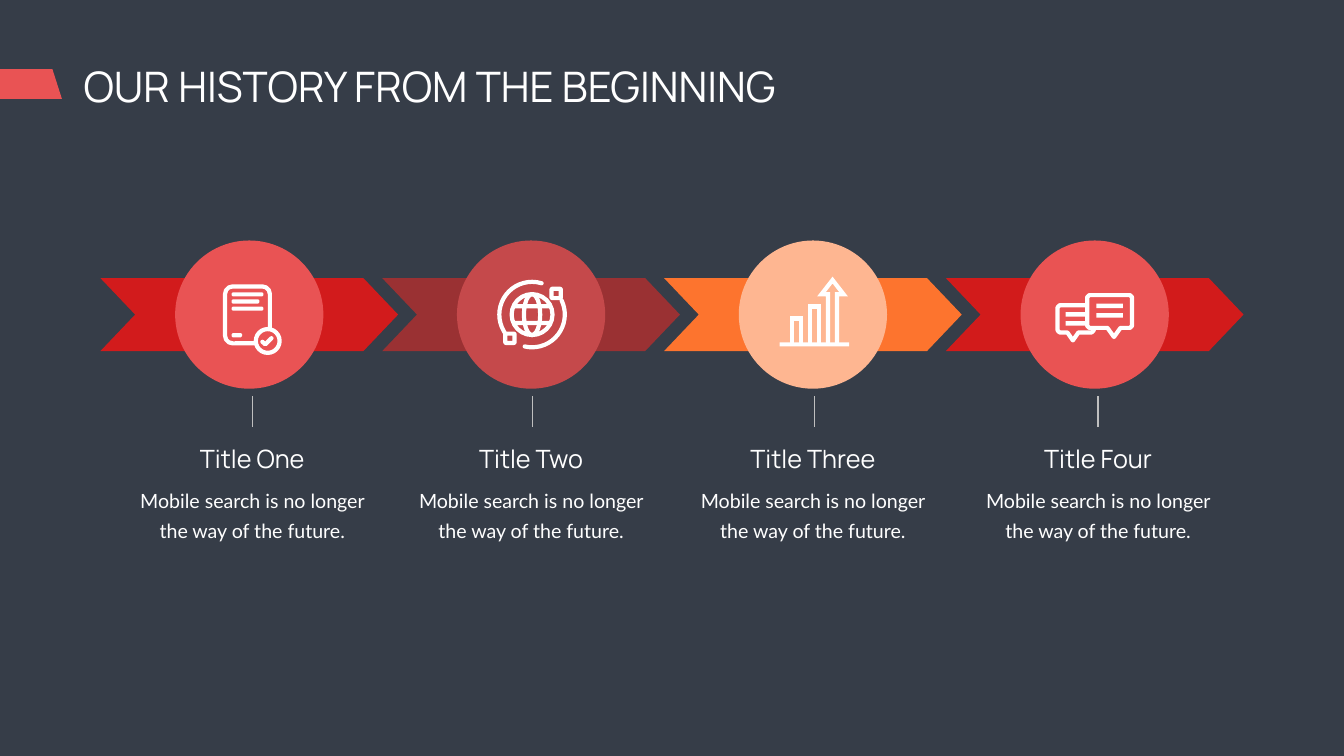
from dataclasses import dataclass

from lxml import etree
from pptx import Presentation
from pptx.dml.color import RGBColor
from pptx.enum.shapes import MSO_CONNECTOR, MSO_SHAPE
from pptx.enum.text import PP_ALIGN
from pptx.oxml.ns import qn
from pptx.util import Cm, Pt

ARC, OVAL = MSO_SHAPE.ARC, MSO_SHAPE.OVAL
ROUND, CHEVRON = MSO_SHAPE.ROUNDED_RECTANGLE, MSO_SHAPE.CHEVRON
STRAIGHT = MSO_CONNECTOR.STRAIGHT
LEFT, CENTER = PP_ALIGN.LEFT, PP_ALIGN.CENTER


@dataclass(frozen=True)
class Theme:
    """Colours, fonts and point sizes of the slide."""
    back: str = "363D48"
    white: str = "FFFFFF"
    tick: str = "BFBFBF"
    accent: str = "E95354"
    head: str = "Manrope"
    body: str = "Lato"
    title: int = 60
    label: int = 36
    text: int = 28
    lead: int = 43
    stroke: int = 6
    thin: int = 2


THEME = Theme()


def rgb(code):
    """Turn a hex code into a colour."""
    return RGBColor.from_string(code)


def paint(shape, fill=None, line=None, join="round"):
    """Set the fill, outline and join of a shape and drop its shadow."""
    shape.shadow.inherit = False
    if fill:
        shape.fill.solid()
        shape.fill.fore_color.rgb = rgb(fill)
    else:
        shape.fill.background()
    if line:
        ink(shape, line, THEME.stroke, join)
    else:
        shape.line.fill.background()
    return shape


def ink(shape, color, width, join):
    """Set colour, width, caps and joins of a line."""
    shape.line.color.rgb = rgb(color)
    shape.line.width = Pt(width)
    ln = shape._element.spPr.find(qn("a:ln"))
    ln.set("cap", "rnd" if join == "round" else "flat")
    etree.SubElement(ln, qn(f"a:{join}"))


def place(shapes, kind, x, y, w, h, adjust=(), **style):
    """Add a preset shape."""
    shape = shapes.add_shape(kind, Cm(x), Cm(y), Cm(w), Cm(h))
    for i, value in enumerate(adjust):
        shape.adjustments[i] = value
    return paint(shape, **style)


def trace(shapes, x, y, points, close=False, **style):
    """Add a freeform whose points are relative to x, y."""
    spots = [(Cm(x + dx), Cm(y + dy)) for dx, dy in points]
    build = shapes.build_freeform(*spots[0])
    build.add_line_segments(spots[1:], close=close)
    return paint(build.convert_to_shape(), **style)


def bar(shapes, x, y, w, h=0.21, cut=0):
    """Add a white bar centred on height y, with corners cut."""
    top, low = -h / 2, h / 2
    points = [(cut, top), (w - cut, top), (w, top + cut), (w, low - cut),
              (w - cut, low), (cut, low), (0, low - cut), (0, top + cut)]
    trace(shapes, x, y, points, close=True, fill=THEME.white)


def rule(shapes, x, y, dx, dy):
    """Add a thin straight line from x, y."""
    line = shapes.add_connector(STRAIGHT, Cm(x), Cm(y), Cm(x + dx), Cm(y + dy))
    ink(line, THEME.tick, THEME.thin, "miter")
    etree.SubElement(line._element.spPr, qn("a:effectLst"))


def write(shapes, words, x, y, w, h, font=THEME.head, size=THEME.title,
          align=LEFT, lead=None, pad=(0.25, 0.13)):
    """Add a wrapped text box in one format."""
    frame = shapes.add_textbox(Cm(x), Cm(y), Cm(w), Cm(h)).text_frame
    frame.word_wrap = True
    frame.margin_left = frame.margin_right = Cm(pad[0])
    frame.margin_top = frame.margin_bottom = Cm(pad[1])
    para = frame.paragraphs[0]
    para.alignment = align
    if lead:
        para.line_spacing = Pt(lead)
    run = para.add_run()
    run.text = words
    run.font.name, run.font.size = font, Pt(size)
    run.font.color.rgb = rgb(THEME.white)


def phone(shapes, x, y, tone):
    """Draw a phone with a check badge centred on x, y."""
    place(shapes, ROUND, x - 1.22, y - 1.42, 2.26, 2.87, [0.17], line=THEME.white)
    for dy, wide in ((-1.02, 1.6), (-0.66, 1.4), (-0.3, 1.6), (1.04, 0.53)):
        bar(shapes, x - 0.89, y + dy, wide, cut=0.06)
    place(shapes, OVAL, x + 0.33, y + 0.73, 1.2, 1.2, fill=tone, line=THEME.white)
    trace(shapes, x, y, [(0.66, 1.37), (0.81, 1.5), (1.12, 1.19)], line=THEME.white)


def globe(shapes, x, y, tone):
    """Draw a globe with two orbits centred on x, y."""
    x += 0.05
    for half in (1.03, 0.41):
        place(shapes, OVAL, x - half, y - 1.03, 2 * half, 2.06, line=THEME.white)
    for dy in (-0.42, 0.42):
        bar(shapes, x - 0.95, y + dy, 1.9)
    for start, end in ((334, 103), (147, 287)):
        place(shapes, ARC, x - 1.65, y - 1.65, 3.3, 3.3,
              [start * 0.6, end * 0.6], line=THEME.white)
    for dx, dy in ((0.98, -1.3), (-1.35, 0.96)):
        place(shapes, ROUND, x + dx, y + dy, 0.47, 0.47, [0.1],
              fill=tone, line=THEME.white)


def growth(shapes, x, y, tone):
    """Draw rising bars and an arrow centred on x, y."""
    base = 1.5
    bars = [[(left, base), (left, top), (left + 0.46, top), (left + 0.46, base)]
            for left, top in ((-1.07, 0.2), (-0.15, -0.41))]
    arrow = [(0.76, base), (0.76, -1.02), (0.43, -1.02), (0.99, -1.74),
             (1.55, -1.02), (1.22, -1.02), (1.22, base)]
    for points in (*bars, arrow):
        trace(shapes, x, y, points, line=THEME.white, join="miter")
    bar(shapes, x - 1.68, y + base, 3.51)


def bubble(shapes, x, y, w, h, tail, half, deep, tone):
    """Draw a speech bubble with cut corners and a tail."""
    cut = 0.1
    points = [(cut, 0), (w - cut, 0), (w, cut), (w, h - cut), (w - cut, h),
              (tail + half, h), (tail, h + deep), (tail - half, h),
              (cut, h), (0, h - cut), (0, cut)]
    trace(shapes, x, y, points, close=True, fill=tone, line=THEME.white)


def chat(shapes, x, y, tone):
    """Draw two speech bubbles centred on x, y."""
    bubble(shapes, x - 1.87, y - 0.47, 1.82, 1.37, 0.77, 0.28, 0.4, tone)
    for dy in (-0.01, 0.44):
        bar(shapes, x - 1.47, y + dy, 1, 0.23)
    bubble(shapes, x - 0.38, y - 0.98, 2.26, 1.65, 1.35, 0.33, 0.46, tone)
    for dy in (-0.44, 0.04):
        bar(shapes, x + 0.08, y + dy, 1.34, 0.23)


def header(shapes, x, y, w, h):
    """Draw the slide title and its accent tab."""
    trace(shapes, x, y + 0.56, [(0, 0), (2.64, 0), (3.12, 1.5), (0, 1.5)],
          close=True, fill=THEME.accent)
    write(shapes, "OUR HISTORY FROM THE BEGINNING", x + 3.96, y, w - 3.96, h)


def step(shapes, x, y, w, name, band, tone, icon, shift, nudge):
    """Draw one step: chevron, disc, icon, tick and words."""
    disc, high, wide = 7.47, 3.68, 13.26
    mid, axis = x + w / 2, y + disc / 2
    place(shapes, CHEVRON, x, axis - high / 2, w, high, [0.476], fill=band)
    place(shapes, OVAL, mid - disc / 2, y, disc, disc, fill=tone)
    icon(shapes, mid, axis, tone)
    rule(shapes, mid + nudge, y + 9.4, 0, -1.55)
    left = mid + shift - wide / 2
    write(shapes, name, left, y + 10.08, wide, 1.8, size=THEME.label, align=CENTER)
    write(shapes, "Mobile search is no longer the way of the future.",
          left, y + 11.88, wide, 3.5, font=THEME.body, size=THEME.text,
          align=CENTER, lead=THEME.lead, pad=(0.61, 0.3))


def main():
    """Build and save the slide."""
    deck = Presentation()
    deck.slide_width, deck.slide_height = Cm(67.72), Cm(38.1)
    slide = deck.slides.add_slide(deck.slide_layouts[6])
    slide.background.fill.solid()
    slide.background.fill.fore_color.rgb = rgb(THEME.back)
    steps = (("Title One", "D21B1C", "E95354", phone, 0.15, 0.15),
             ("Title Two", "9A3133", "C5494B", globe, 0, 0.06),
             ("Title Three", "FD742E", "FEB691", growth, 0, 0.08),
             ("Title Four", "D21B1B", "E95353", chat, 0.17, 0.17))
    for i, parts in enumerate(steps):
        step(slide.shapes, 5.06 + 14.2 * i, 12.12, 15, *parts)
    header(slide.shapes, 0, 2.92, 43.33, 2.82)
    deck.save("out.pptx")


if __name__ == "__main__":
    main()
